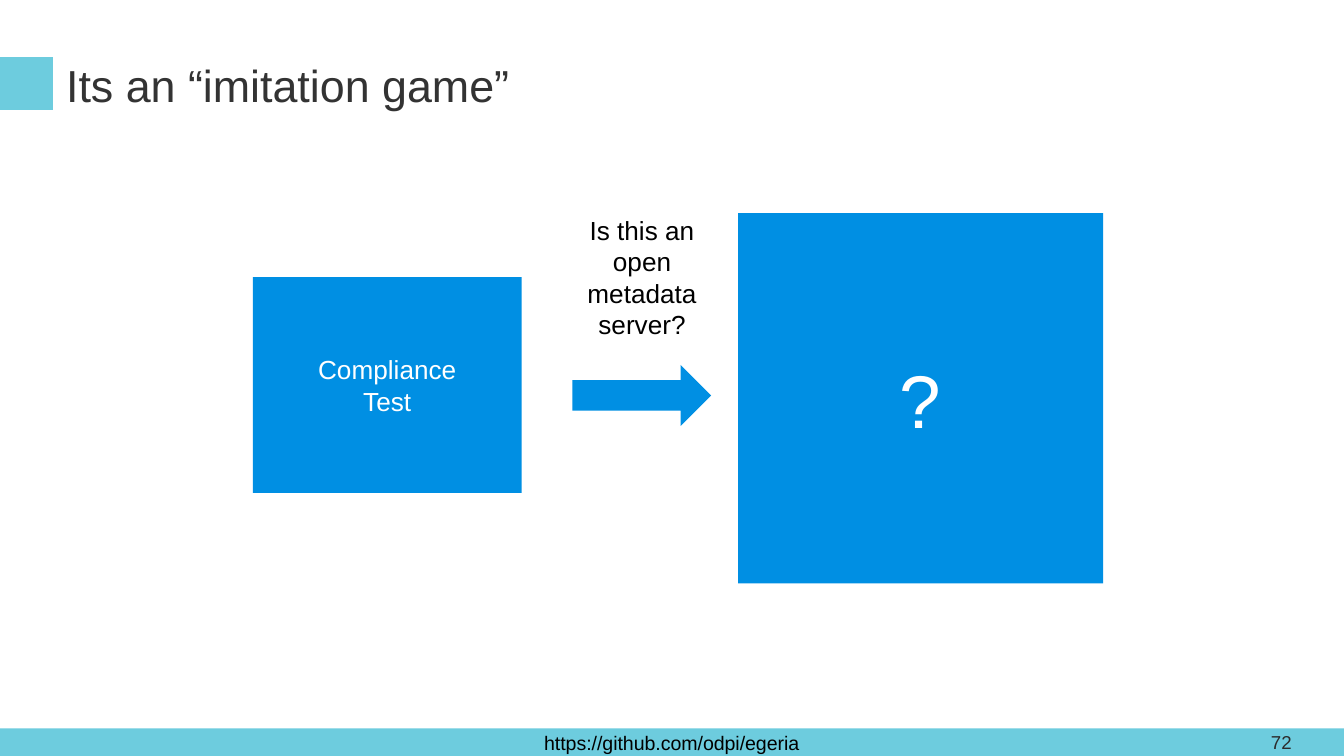
from dataclasses import dataclass

from pptx import Presentation
from pptx.dml.color import RGBColor as RGB
from pptx.enum.shapes import MSO_SHAPE as SHAPE
from pptx.enum.text import MSO_ANCHOR as ANCHOR, PP_ALIGN as ALIGN
from pptx.util import Cm, Pt


@dataclass(frozen=True)
class Theme:
    font: str = "Arial"
    accent: RGB = RGB(0x6D, 0xCC, 0xDE)
    block: RGB = RGB(0x00, 0x8F, 0xE3)
    heading: RGB = RGB(0x33, 0x33, 0x33)
    number: RGB = RGB(0x2C, 0x2C, 0x2C)
    black: RGB = RGB(0, 0, 0)
    white: RGB = RGB(0xFF, 0xFF, 0xFF)
    title_size: float = 24
    body_size: float = 14
    mark_size: float = 40
    footer_size: float = 10.5
    number_size: float = 10


THEME = Theme()
WIDTH, HEIGHT = 25.4, 14.29
FOOTER_TOP, FOOTER_HEIGHT = 13.77, 0.52


def write(s, text, size, color, align=ALIGN.CENTER, anchor=ANCHOR.MIDDLE, pad=0.13):
    """Fill a shape with text, one paragraph per line; pad is the top and bottom inset in cm."""
    tf = s.text_frame
    tf.word_wrap = True
    tf.vertical_anchor = anchor
    tf.margin_left = tf.margin_right = Cm(0.25)
    tf.margin_top = tf.margin_bottom = Cm(pad)
    tf.text = text
    for p in tf.paragraphs:
        p.alignment = align
        font = p.runs[0].font
        font.name, font.size = THEME.font, Pt(size)
        font.color.rgb = color


def add_block(sp, box, fill, kind=SHAPE.RECTANGLE):
    s = sp.add_shape(kind, *map(Cm, box))
    s.shadow.inherit = False
    s.fill.solid()
    s.fill.fore_color.rgb = fill
    s.line.fill.background()
    return s


def add_text(sp, box, text, size, color, **layout):
    write(sp.add_textbox(*map(Cm, box)), text, size, color, **layout)


def add_frame(sp):
    """Draw the footer, the title with its marker, and the page number."""
    footer = add_block(sp, (0, FOOTER_TOP, WIDTH, FOOTER_HEIGHT), THEME.accent)
    write(footer, "https://github.com/odpi/egeria", THEME.footer_size, THEME.black)
    add_block(sp, (0, 1.08, 1, 1), THEME.accent)
    add_text(sp, (1, 0.81, 23.55, 1.57), "Its an “imitation game”",
             THEME.title_size, THEME.heading, align=ALIGN.LEFT, pad=0.25)
    add_text(sp, (23.77, FOOTER_TOP, 1.52, FOOTER_HEIGHT), "72",
             THEME.number_size, THEME.number, align=ALIGN.LEFT, pad=0.25)


def add_game(sp):
    """Draw the test questioning the unknown server."""
    server = add_block(sp, (13.95, 4.03, 6.9, 7), THEME.block)
    write(server, "?", THEME.mark_size, THEME.white)
    test = add_block(sp, (4.78, 5.24, 5.08, 4.08), THEME.block)
    write(test, "Compliance\nTest", THEME.body_size, THEME.white)
    add_block(sp, (10.82, 6.9, 2.62, 1.15), THEME.block, SHAPE.RIGHT_ARROW)
    add_text(sp, (10.36, 3.92, 3.55, 2.64), "Is this an open metadata server?",
             THEME.body_size, THEME.black, anchor=ANCHOR.TOP)


def main():
    prs = Presentation()
    prs.slide_width, prs.slide_height = Cm(WIDTH), Cm(HEIGHT)
    sp = prs.slides.add_slide(prs.slide_layouts[6]).shapes
    add_frame(sp)
    add_game(sp)
    prs.save("out.pptx")


if __name__ == "__main__":
    main()
